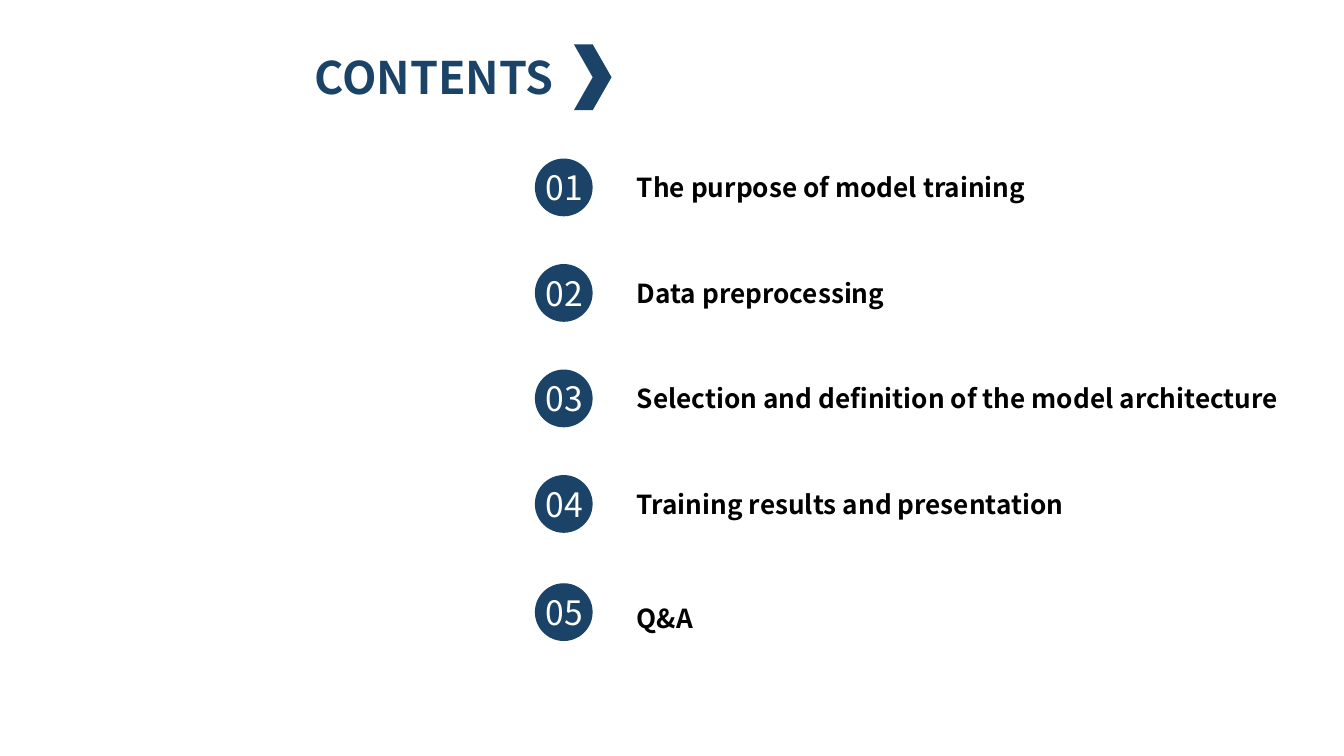
from pptx import Presentation, util as u
from pptx.dml.color import RGBColor
from pptx.enum import shapes, text

HUES = {"navy": "1B4367", "white": "FFFFFF", "black": "000000"}
FONT = "Noto Sans CJK SC"
TOPICS = [
    "The purpose of model training",
    "Data preprocessing",
    "Selection and definition of the model architecture",
    "Training results and presentation",
    "Q&A",
]
TOP, STEP = 1.18, 3.14 / 4  # first row and row pitch
DOT_X, DOT = 3.98, 0.43
NUM_X, NUM_W, NUM_H = 3.94, 0.52, 0.4
TEXT_X, TEXT_W, TEXT_H = 4.64, 5.2, 0.34
LAST_DOT, LAST_TEXT = 0.02, 0.06  # the closing row sits a little lower


def write(box, words, size, hue, bold=False, align=text.PP_ALIGN.LEFT):
    frame = box.text_frame
    frame.word_wrap = True
    frame.auto_size = text.MSO_AUTO_SIZE.NONE
    frame.vertical_anchor = text.MSO_ANCHOR.MIDDLE
    para = frame.paragraphs[0]
    para.alignment = align
    para.line_spacing = 1.0
    run = para.add_run()
    run.text = words
    run.font.name = FONT
    run.font.size = u.Pt(size)
    run.font.bold = bold
    run.font.color.rgb = RGBColor.from_string(HUES[hue])


def draw(host, kind, *place):
    shape = host.add_shape(kind, *map(u.Inches, place))
    shape.shadow.inherit = False
    shape.fill.solid()
    shape.fill.fore_color.rgb = RGBColor.from_string(HUES["navy"])
    shape.line.fill.background()


deck = Presentation()
deck.slide_width = u.Inches(10)
deck.slide_height = deck.slide_width * 9 // 16
slide = deck.slides.add_slide(deck.slide_layouts[5])

title = slide.shapes.title
title.left, title.top = u.Inches(2.24), u.Inches(0.32)
title.width, title.height = u.Inches(2.31), u.Inches(0.5)
write(title, "CONTENTS", 24, "navy", bold=True)
draw(slide.shapes, shapes.MSO_SHAPE.CHEVRON, 4.27, 0.33, 0.28, 0.49)

for row, topic in enumerate(TOPICS):
    last = row == len(TOPICS) - 1
    top = TOP + row * STEP
    dot_y = top + LAST_DOT * last
    mid = top + DOT / 2 + LAST_TEXT * last

    badge = slide.shapes.add_group_shape().shapes
    draw(badge, shapes.MSO_SHAPE.OVAL, DOT_X, dot_y, DOT, DOT)
    num = badge.add_textbox(
        u.Inches(NUM_X), u.Inches(dot_y + (DOT - NUM_H) / 2),
        u.Inches(NUM_W), u.Inches(NUM_H))
    write(num, f"{row + 1:02}", 18, "white", align=text.PP_ALIGN.CENTER)

    label = slide.shapes.add_textbox(
        u.Inches(TEXT_X), u.Inches(mid - TEXT_H / 2),
        u.Inches(TEXT_W), u.Inches(TEXT_H))
    write(label, topic, 14, "black", bold=True)

deck.save("out.pptx")
